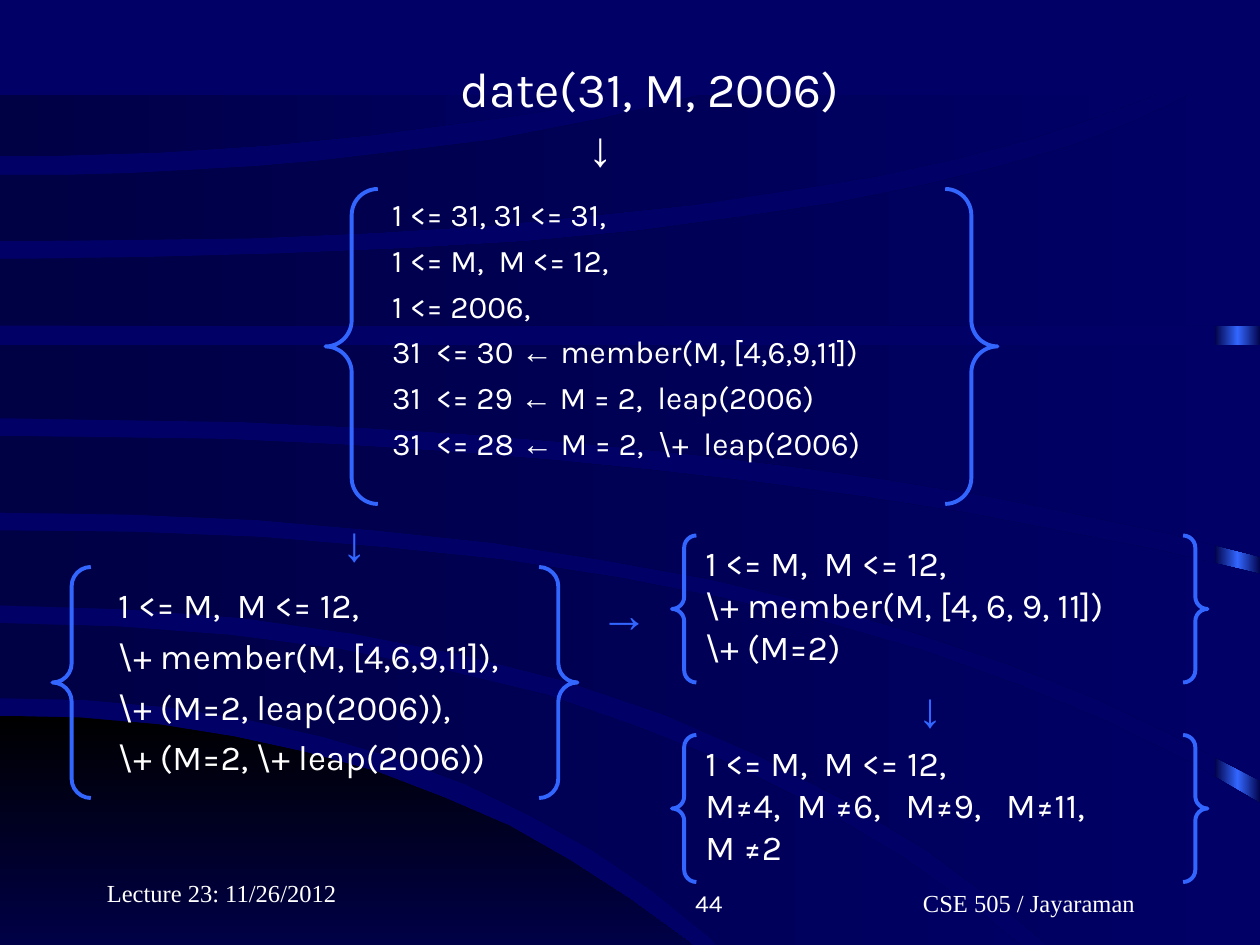
from copy import deepcopy
from itertools import groupby

from pptx import Presentation
from pptx.dml.color import RGBColor
from pptx.enum import shapes, text
from pptx.oxml.ns import qn
from pptx.util import Pt

NAVY, DARK, BLUE, WHITE, BLACK = "000066", "000044", "3366FF", "FFFFFF", "000000"
LEFT, MID, RIGHT = text.PP_ALIGN.LEFT, text.PP_ALIGN.CENTER, text.PP_ALIGN.RIGHT
TOP, BASE = text.MSO_ANCHOR.TOP, text.MSO_ANCHOR.BOTTOM
ARROWS = "←↓→"
WIDE, LOW, HIGH = 720, 595, 54  # limits of the curved backdrop
STEPS = 12

# Upper and lower edge: height at left, bend, end x, end y
HILL = (409, 281, 453, LOW), (LOW, 281, 453, LOW)
BANDS = [
    ((356, 411, 644, LOW), (399, 300, 463, LOW)),
    ((303, 469, WIDE, 459), (346, 430, 655, LOW)),
    ((249, 392, WIDE, 328), (293, 453, WIDE, 446)),
    ((197, 360, WIDE, 197), (239, 420, WIDE, 318)),
    ((148, 506, 680, HIGH), (186, 360, WIDE, 186)),
    ((100, 231, 401, HIGH), (138, 461, 661, HIGH)),
    ((HIGH, 186, 361, HIGH), (89, 186, 361, HIGH)),
]

# Clauses: brace box, shift of the text, its trim, inset, size, gap, lines
RANGE = "1 <= M,  M <= 12,"
CLAUSES = [
    ((186, 108, 384, 180), (18, 0), 48, 20, 18, 4.5,
     ["1 <= 31, 31 <= 31,", RANGE, "1 <= 2006,",
      "31  <= 30 ← member(M, [4,6,9,11])",
      "31  <= 29 ← M = 2,  leap(2006)",
      "31  <= 28 ← M = 2,  \\+  leap(2006)"]),
    ((30, 324, 300, 132), (30.5, 6), 48, 7.2, 20, 5,
     [RANGE, "\\+ member(M, [4,6,9,11]),", "\\+ (M=2, leap(2006)),",
      "\\+ (M=2, \\+ leap(2006))"]),
    ((384, 306, 306, 84), (12, 0), 6, 7.2, 20, 0,
     [RANGE, "\\+ member(M, [4, 6, 9, 11])", "\\+ (M=2)"]),
    ((384, 420, 306, 84), (12, 0), 6, 7.2, 20, 0,
     [RANGE, "M≠4,  M ≠6,   M≠9,   M≠11,", "M ≠2"]),
]

SIGNS = [("↓", 188.5, 289.5, 25), ("→", 335.5, 330, 42.5), ("↓", 517.5, 384, 25)]

FEET = [("Lecture 23: 11/26/2012", 54, 486, 150, "Times New Roman", LEFT),
        ("44", 270, 492, 150, "Karla", RIGHT),
        ("CSE 505 / Jayaraman", 474, 492, 228, "Times New Roman", MID)]


def tint(code):
    return RGBColor.from_string(code)


def pts(box):
    return [Pt(n) for n in box]


def blend(shape, codes, angle=0):
    """Fill a shape with evenly spaced gradient stops and no line."""
    shape.shadow.inherit = False
    shape.line.fill.background()
    shape.fill.gradient()
    shape.fill.gradient_angle = angle
    stops = shape._element.spPr.find(".//" + qn("a:gsLst"))
    while len(stops) < len(codes):
        stops.append(deepcopy(stops[-1]))
    for i, (stop, code) in enumerate(zip(shape.fill.gradient_stops, codes)):
        stop.position = i / (len(codes) - 1)
        stop.color.rgb = tint(code)


def curve(start, bend, x, y):
    """Sample a quadratic curve that leaves the left side level."""
    dots = []
    for i in range(STEPS + 1):
        t = i / STEPS
        dots.append((2 * t * (1 - t) * bend + t * t * x,
                     start + t * t * (y - start)))
    return dots


def band(slide, edges, codes, angle=0):
    """Draw the area between two edges, squared off at the right."""
    upper, lower = (curve(*edge) for edge in edges)
    near, far = sorted([upper[-1], lower[-1]])
    dots = upper + [(far[0], near[1])] + lower[::-1]
    form = slide.shapes.build_freeform(*dots[0], scale=Pt(1))
    form.add_line_segments(dots[1:], close=True)
    blend(form.convert_to_shape(), codes, angle)


def brace(slide, box):
    pair = slide.shapes.add_shape(shapes.MSO_SHAPE.DOUBLE_BRACE, *pts(box))
    pair.adjustments[0] = 0.083
    pair.shadow.inherit = False
    pair.fill.background()
    pair.line.color.rgb = tint(BLUE)
    pair.line.width = Pt(2.25)


def write(slide, box, lines, size, face="Karla", code=WHITE, align=LEFT,
          anchor=TOP, inset=7.2, gap=0, shifts=()):
    """Add a text box; shifts are left indents by line, arrows use Arial."""
    frame = slide.shapes.add_textbox(*pts(box)).text_frame
    look = {"word_wrap": True, "vertical_anchor": anchor,
            "margin_left": Pt(inset)}
    for name, value in look.items():
        setattr(frame, name, value)
    for i, line in enumerate(lines):
        para = frame.add_paragraph() if i else frame.paragraphs[0]
        para.alignment = align
        if i and gap:
            para.space_before = Pt(gap)
        if shifts:
            para._p.get_or_add_pPr().set("marL", str(int(Pt(shifts[i]))))
        for arrow, chars in groupby(line, lambda c: c in ARROWS):
            run = para.add_run()
            run.text = "".join(chars)
            font = {"size": Pt(size), "name": "Arial" if arrow else face}
            for name, value in font.items():
                setattr(run.font, name, value)
            run.font.color.rgb = tint(code)


def main():
    deck = Presentation()
    deck.slide_width, deck.slide_height = Pt(720), Pt(540)
    slide = deck.slides.add_slide(deck.slide_layouts[6])
    slide.background.fill.solid()
    slide.background.fill.fore_color.rgb = tint(NAVY)

    bar = slide.shapes.add_shape(shapes.MSO_SHAPE.RECTANGLE,
                                 *pts((694, 55.5, 26.5, 540)))
    blend(bar, [DARK, BLUE, DARK])
    band(slide, HILL, [BLACK, NAVY], 270)
    for edges in BANDS:
        band(slide, edges, [DARK, NAVY])

    write(slide, (210, 30, 360, 75), ["date(31, M, 2006)", "↓"], 28,
          shifts=(46, 119))
    for pair, (dx, dy), trim, inset, size, gap, lines in CLAUSES:
        x, y, w, h = pair
        write(slide, (x + dx, y + dy, w - trim, h - 2 * dy), lines, size,
              inset=inset, gap=gap)
        brace(slide, pair)
    for sign, x, y, w in SIGNS:
        write(slide, (x, y, w, 41), [sign], 28, code=BLUE)
    for words, x, y, w, face, align in FEET:
        write(slide, (x, y, w, 36), [words], 14, face, align=align, anchor=BASE)
    deck.save("out.pptx")


if __name__ == "__main__":
    main()
